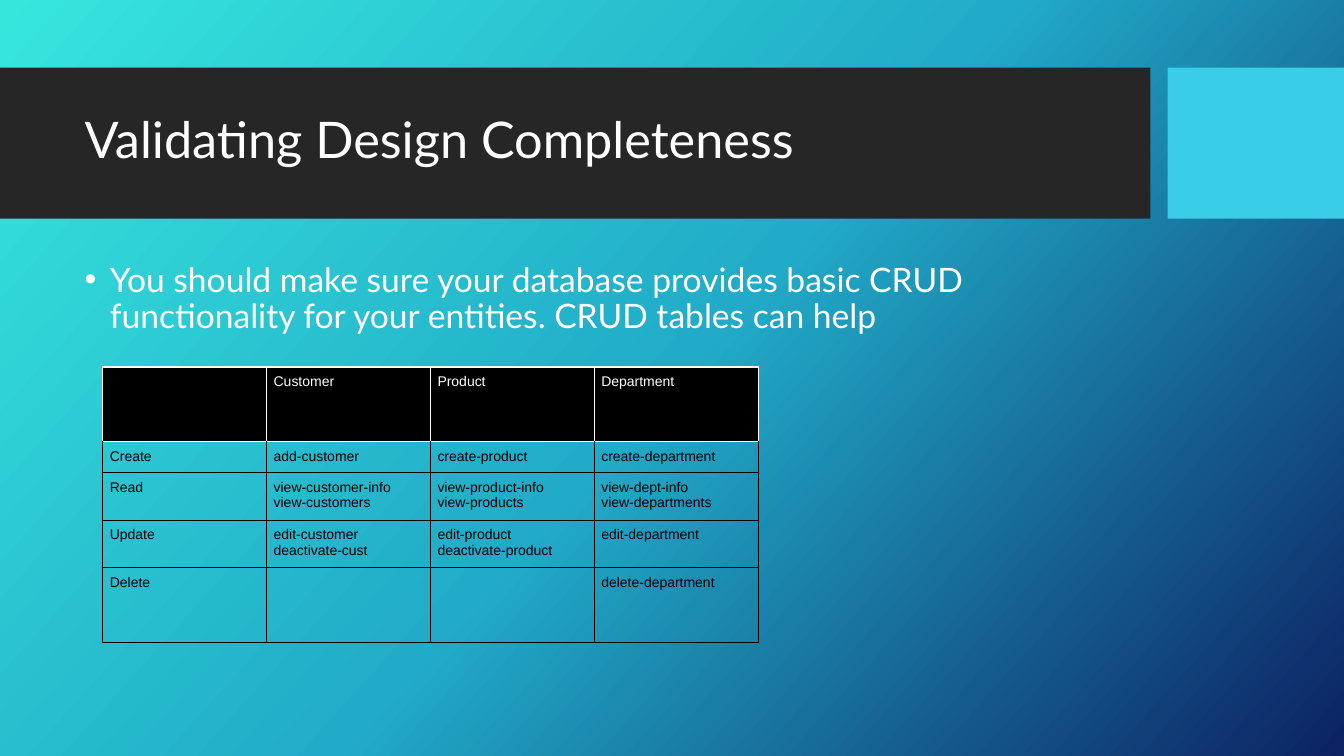
from copy import deepcopy

from pptx import Presentation
from pptx.dml.color import RGBColor
from pptx.enum import shapes, text
from pptx.oxml import ns, xmlchemy
from pptx.util import Inches, Pt

WHITE = RGBColor(0xFF, 0xFF, 0xFF)
BLACK = RGBColor(0x00, 0x00, 0x00)
CHARCOAL = RGBColor(0x26, 0x26, 0x26)
CYAN = RGBColor(0x39, 0xCD, 0xE7)
BACKDROP = (
    (0, RGBColor(0x36, 0xE6, 0xDD)),
    (0.5, RGBColor(0x21, 0xAB, 0xC8)),
    (1, RGBColor(0x0C, 0x22, 0x63)),
)

CRUD_ROWS = (
    ("", "Customer", "Product", "Department"),
    ("Create", "add-customer", "create-product", "create-department"),
    ("Read", "view-customer-info\vview-customers",
     "view-product-info\vview-products", "view-dept-info\vview-departments"),
    ("Update", "edit-customer\vdeactivate-cust",
     "edit-product\vdeactivate-product", "edit-department"),
    ("Delete", "", "", "delete-department"),
)
ROW_HEIGHTS = (0.74, 0.3, 0.45, 0.45, 0.74)
COLUMN_WIDTH = 1.625


def paint_background(slide):
    """Fill the slide background with the three-colour diagonal gradient."""
    fill = slide.background.fill
    fill.gradient()
    stop_list = slide.element.find(".//" + ns.qn("a:gsLst"))
    stop_list.append(deepcopy(stop_list[-1]))
    for stop, (position, color) in zip(fill.gradient_stops, BACKDROP):
        stop.position = position
        stop.color.rgb = color
    fill.gradient_angle = 360 - 42


def add_band(slide, left, width, color):
    """Add one borderless block of the title band."""
    band = slide.shapes.add_shape(
        shapes.MSO_SHAPE.RECTANGLE,
        Inches(left), Inches(0.67), Inches(width), Inches(1.5))
    band.shadow.inherit = False
    band.fill.solid()
    band.fill.fore_color.rgb = color
    band.line.fill.background()


def style_runs(paragraph, font_name, size, color):
    """Format the runs of a paragraph and the line breaks between them."""
    for run in paragraph.runs:
        run.font.name = font_name
        run.font.size = Pt(size)
        run.font.color.rgb = color
    for line_break in paragraph._p.findall(ns.qn("a:br")):
        line_break.append(deepcopy(paragraph._p.find(".//" + ns.qn("a:rPr"))))


def add_text(slide, top, height, words, size, anchor):
    """Add a wrapped text box in the content column and return its paragraph."""
    box = slide.shapes.add_textbox(
        Inches(0.74), Inches(top), Inches(10.51), Inches(height))
    frame = box.text_frame
    frame.word_wrap = True
    frame.vertical_anchor = anchor
    frame.text = words
    paragraph = frame.paragraphs[0]
    paragraph.line_spacing = 0.9
    style_runs(paragraph, "Lato", size, WHITE)
    return paragraph


def add_bullet(paragraph):
    """Give a paragraph a round bullet with a hanging indent."""
    properties = paragraph._p.get_or_add_pPr()
    properties.set("marL", str(Inches(0.25)))
    properties.set("indent", str(Inches(-0.25)))
    bullet_font = xmlchemy.OxmlElement("a:buFont")
    bullet_font.set("typeface", "Arial")
    bullet = xmlchemy.OxmlElement("a:buChar")
    bullet.set("char", "•")
    properties.extend((bullet_font, bullet))


def set_border(cell, side, color):
    """Draw one side of a cell as a thin solid line."""
    border = xmlchemy.OxmlElement("a:ln" + side)
    border.set("w", str(Pt(1)))
    solid = xmlchemy.OxmlElement("a:solidFill")
    tint = xmlchemy.OxmlElement("a:srgbClr")
    tint.set("val", str(color))
    solid.append(tint)
    border.append(solid)
    cell._tc.get_or_add_tcPr().append(border)


def format_cell(cell, words, row):
    """Fill in one cell with its text, borders and background."""
    is_header = row == 0
    for side in "LRTB":
        is_white = is_header or (row == 1 and side == "T")
        set_border(cell, side, WHITE if is_white else BLACK)
    if is_header:
        cell.fill.solid()
        cell.fill.fore_color.rgb = BLACK
    else:
        cell.fill.background()
    cell.margin_left = cell.margin_right = Inches(0.07)
    cell.margin_top = cell.margin_bottom = Inches(0.07)
    cell.text_frame.text = words
    style_runs(cell.text_frame.paragraphs[0], "Arial", 10,
               WHITE if is_header else BLACK)


def add_crud_table(slide):
    """Add the table of operations per entity."""
    columns = len(CRUD_ROWS[0])
    table = slide.shapes.add_table(
        len(CRUD_ROWS), columns, Inches(1.02), Inches(3.64),
        Inches(COLUMN_WIDTH * columns), Inches(sum(ROW_HEIGHTS))).table
    table.first_row = False
    table.horz_banding = False
    for column in table.columns:
        column.width = Inches(COLUMN_WIDTH)
    for row, (height, entries) in enumerate(zip(ROW_HEIGHTS, CRUD_ROWS)):
        table.rows[row].height = Inches(height)
        for column, words in enumerate(entries):
            format_cell(table.cell(row, column), words, row)


def main():
    """Build the slide and save it."""
    deck = Presentation()
    deck.slide_width = Inches(13.33)
    deck.slide_height = Inches(7.5)
    slide = deck.slides.add_slide(deck.slide_layouts[6])
    paint_background(slide)
    add_band(slide, 0, 11.41, CHARCOAL)
    add_band(slide, 11.58, 1.75, CYAN)
    add_text(slide, 0.82, 1.18, "Validating Design Completeness", 36,
             text.MSO_ANCHOR.MIDDLE)
    advice = add_text(
        slide, 2.56, 3.94,
        "You should make sure your database provides basic CRUD functionality "
        "for your entities. CRUD tables can help", 24, text.MSO_ANCHOR.TOP)
    advice.space_before = Pt(10)
    add_bullet(advice)
    add_crud_table(slide)
    deck.save("out.pptx")


if __name__ == "__main__":
    main()
